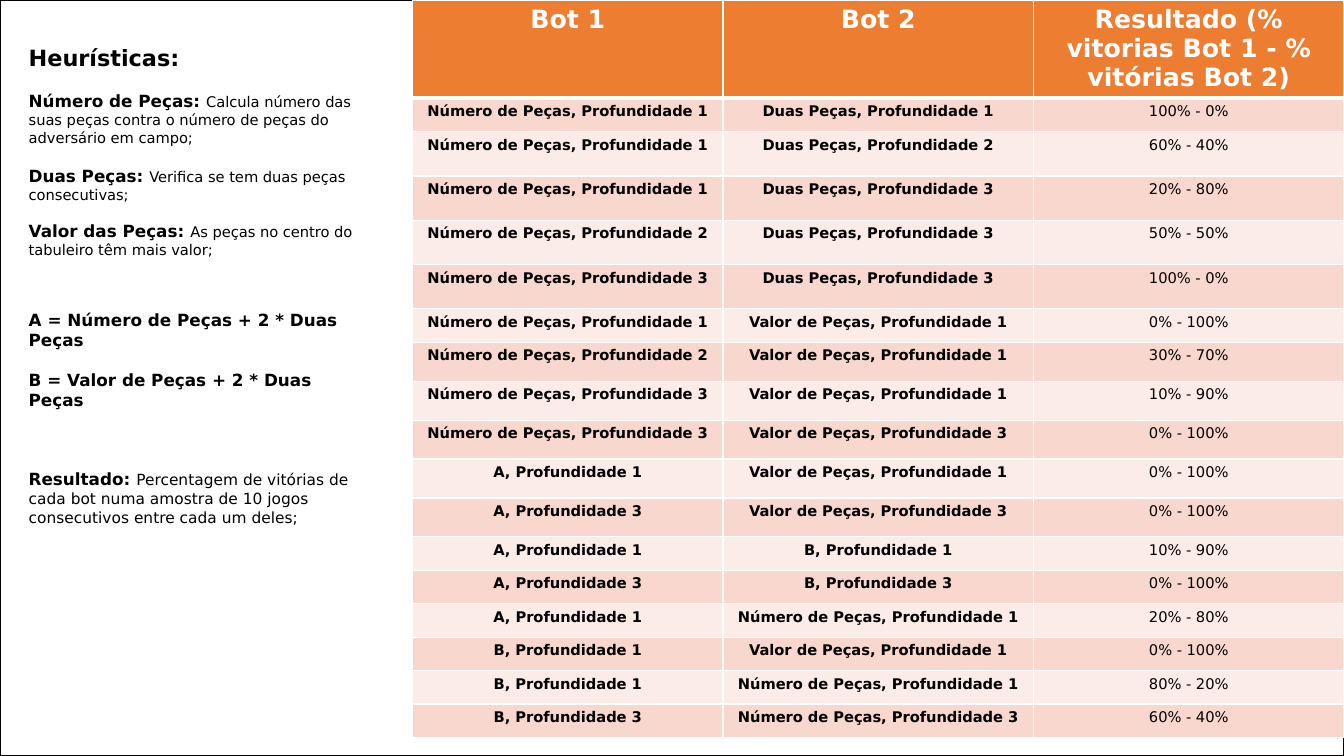
from lxml import etree
from pptx import Presentation
from pptx import util as u
from pptx.dml.color import RGBColor
from pptx.enum import shapes, text
from pptx.oxml.ns import qn

COLORS = {"black": "000000", "white": "FFFFFF", "header": "ED7D31",
          "odd": "F8D7CE", "even": "FCECE8"}
FONT = "DejaVu Sans"


def add_run(p, content, size, bold, color="black"):
    r = p.add_run()
    r.text = content
    for name, value in {"name": FONT, "size": u.Pt(size), "bold": bold}.items():
        setattr(r.font, name, value)
    r.font.color.rgb = RGBColor.from_string(COLORS[color])


def add_border(cell, side, points):
    ln = etree.SubElement(cell._tc.get_or_add_tcPr(), qn(f"a:ln{side}"),
                          w=str(u.Pt(points)))
    fill = etree.SubElement(ln, qn("a:solidFill"))
    etree.SubElement(fill, qn("a:srgbClr"), val=COLORS["white"])


prs = Presentation()
prs.slide_width, prs.slide_height = u.Inches(13.33), u.Inches(7.5)
W, H = prs.slide_width, prs.slide_height
s = prs.slides.add_slide(prs.slide_layouts[6])
s.background.fill.solid()
s.background.fill.fore_color.rgb = RGBColor.from_string(COLORS["black"])

sp = s.shapes.add_shape(shapes.MSO_SHAPE.RECTANGLE, 0, 0, W, H)
sp.shadow.inherit = False
sp.fill.solid()
sp.fill.fore_color.rgb = RGBColor.from_string(COLORS["white"])
sp.line.color.rgb = RGBColor.from_string(COLORS["black"])
sp.line.width = u.Pt(1)

N, D, V = "Número de Peças", "Duas Peças", "Valor de Peças"
games = [
    (N, 1, D, 1, 100), (N, 1, D, 2, 60), (N, 1, D, 3, 20),
    (N, 2, D, 3, 50), (N, 3, D, 3, 100), (N, 1, V, 1, 0),
    (N, 2, V, 1, 30), (N, 3, V, 1, 10), (N, 3, V, 3, 0),
    ("A", 1, V, 1, 0), ("A", 3, V, 3, 0), ("A", 1, "B", 1, 10),
    ("A", 3, "B", 3, 0), ("A", 1, N, 1, 20), ("B", 1, V, 1, 0),
    ("B", 1, N, 1, 80), ("B", 3, N, 3, 60),
]
rows = [("Bot 1", "Bot 2", "Resultado (% vitorias Bot 1 - % vitórias Bot 2)")]
for bot1, depth1, bot2, depth2, wins in games:
    rows.append((f"{bot1}, Profundidade {depth1}", f"{bot2}, Profundidade {depth2}",
                 f"{wins}% - {100 - wins}%"))
heights = [13] + [4.42] + [5.86] * 4 + [4.42] + [5.15] * 5 + [4.42] * 6

left = int(W * 0.307)
tbl = s.shapes.add_table(len(rows), 3, left, 0, W - left,
                         int(H * sum(heights) / 100)).table
for col in tbl.columns:
    col.width = (W - left) // 3
for i, (row, height) in enumerate(zip(rows, heights)):
    tbl.rows[i].height = int(H * height / 100)
    fill = "header" if i == 0 else "odd" if i % 2 else "even"
    for j, content in enumerate(row):
        cell = tbl.cell(i, j)
        for side in "LRTB":
            thick = (i, side) in ((0, "B"), (1, "T"))
            add_border(cell, side, 3 if thick else 1)
        cell.fill.solid()
        cell.fill.fore_color.rgb = RGBColor.from_string(COLORS[fill])
        p = cell.text_frame.paragraphs[0]
        p.alignment = text.PP_ALIGN.CENTER
        if i == 0:
            add_run(p, content, 18, True, "white")
        else:
            add_run(p, content, 10.5, j < 2)

notes = [
    (0, "Heurísticas:", 16, "", 0),
    (14, "Número de Peças: ", 12,
     "Calcula número das suas peças contra o número de peças do adversário em campo;", 10.5),
    (14, "Duas Peças: ", 12, "Verifica se tem duas peças consecutivas;", 10.5),
    (12, "Valor das Peças: ", 12, "As peças no centro do tabuleiro têm mais valor;", 10.5),
    (37, "A = Número de Peças + 2 * Duas Peças", 12, "", 0),
    (14, "B = Valor de Peças + 2 * Duas Peças", 12, "", 0),
    (42, "Resultado: ", 12,
     "Percentagem de vitórias de cada bot numa amostra de 10 jogos "
     "consecutivos entre cada um deles;", 11),
]
tf = s.shapes.add_textbox(int(W * 0.014), int(H * 0.052),
                          int(W * 0.27), int(H * 0.69)).text_frame
tf.word_wrap = True
for i, (gap, title, title_size, body, body_size) in enumerate(notes):
    p = tf.add_paragraph() if i else tf.paragraphs[0]
    p.space_before = u.Pt(gap)
    add_run(p, title, title_size, True)
    if body:
        add_run(p, body, body_size, False)

prs.save("out.pptx")
